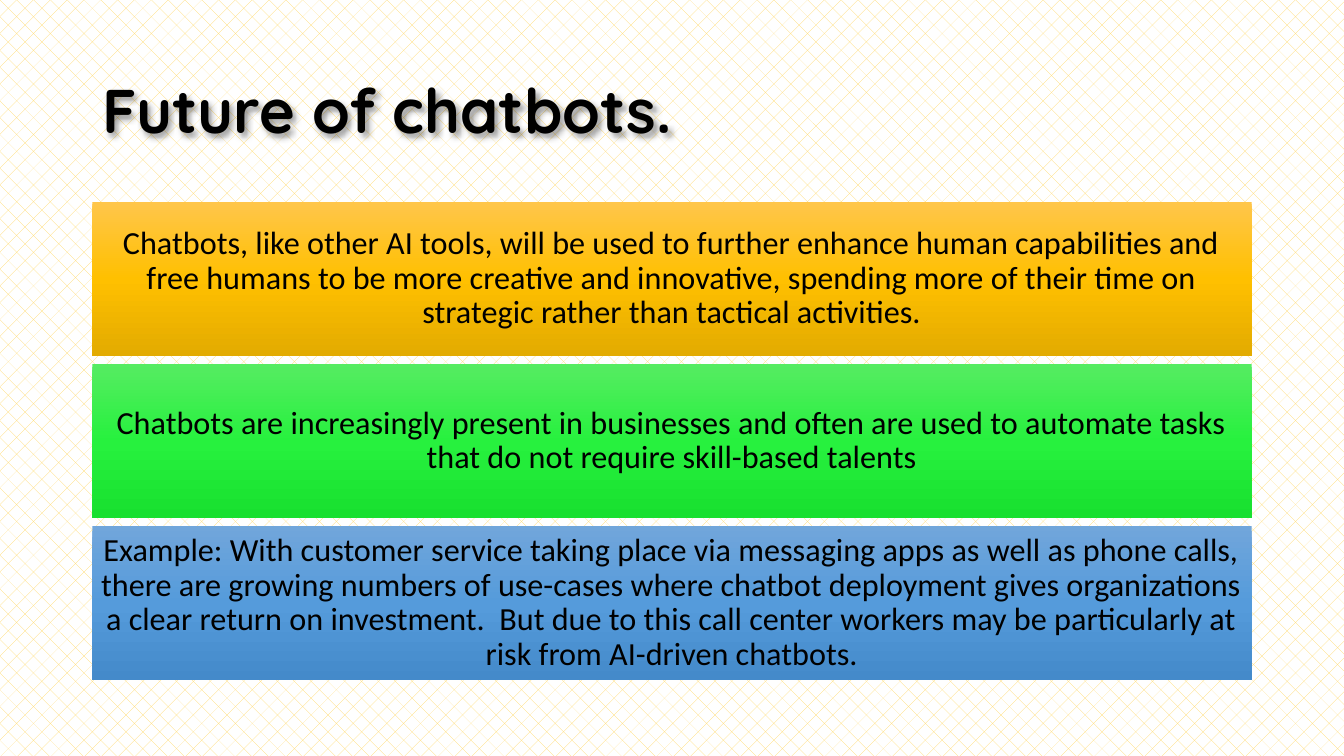
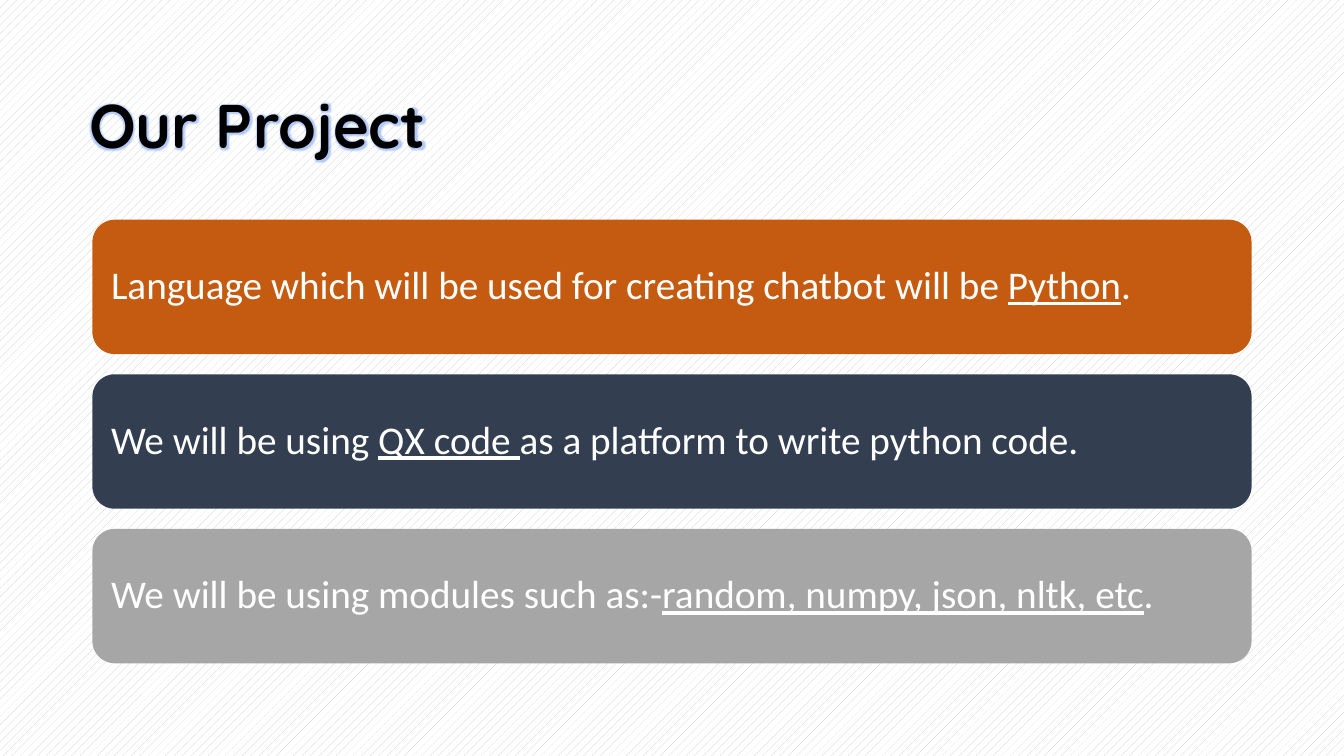
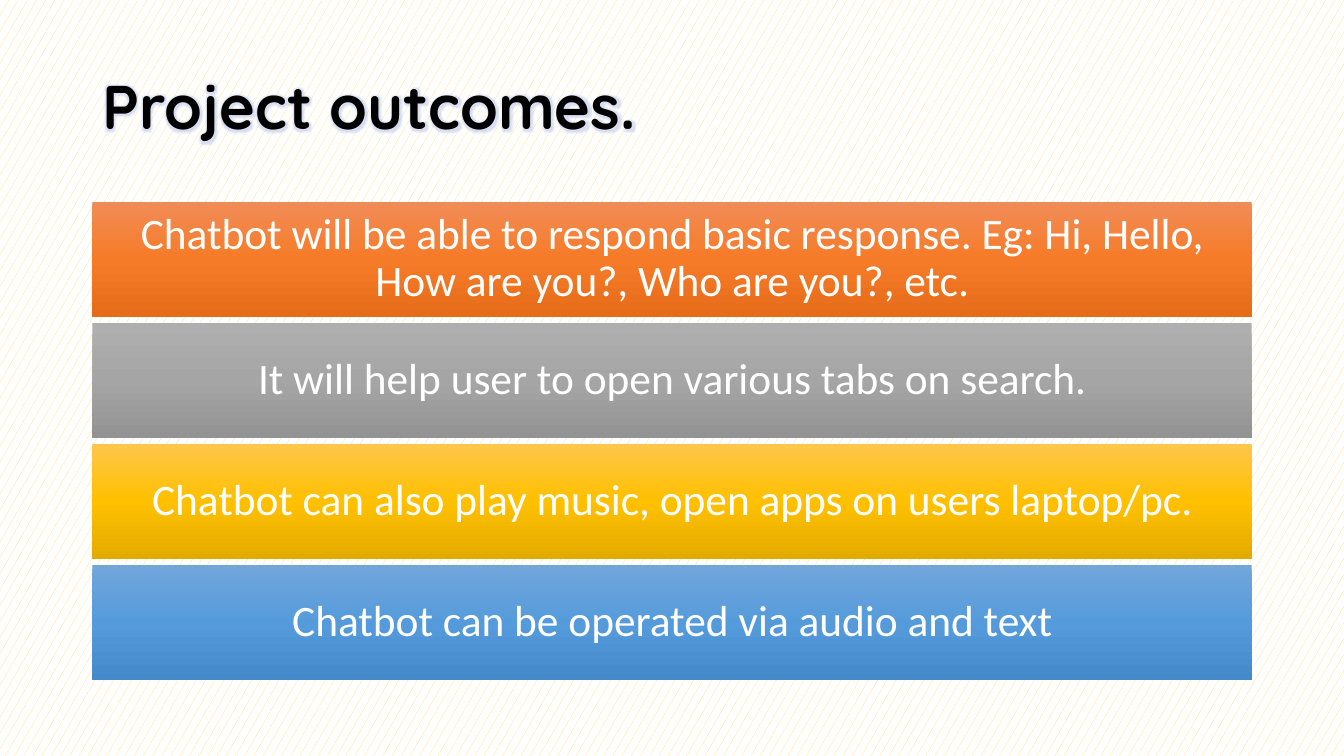
import copy

import pptx
import pptx.dml.color
import pptx.enum.dml
import pptx.enum.shapes
import pptx.enum.text
import pptx.oxml
import pptx.oxml.ns
import pptx.util

COLORS = {
    "black": "000000",
    "white": "FFFFFF",
    "sand": "FFD966",
    "silver": "C9C9C9",
    "rust": "C55A11",
    "navy": "333F50",
    "gray": "A6A6A6",
    "glow": "7FA7F5",
    "pale glow": "BFC9EC",
}
GRADIENTS = {
    "gold": ("FFC64B", "FFC000", "E3AB00"),
    "green": ("56EC62", "27F13E", "18E02F"),
    "blue": ("71A6DB", "559BDB", "448ACA"),
    "orange": ("F18C57", "F67B28", "E56C19"),
    "steel": ("AFAFAF", "A5A5A5", "939393"),
}
TITLE_FONT, BODY_FONT = "Quicksand", "Calibri"
COLUMNS, ROWS = 160, 90
LEFT, WIDTH, TITLE_HEIGHT = 11, 138, 17.4

PATTERN = pptx.enum.dml.MSO_PATTERN
SHAPE = pptx.enum.shapes.MSO_SHAPE
ALIGN = pptx.enum.text.PP_ALIGN
MIDDLE = pptx.enum.text.MSO_ANCHOR.MIDDLE

prs = pptx.Presentation()
prs.slide_width = pptx.util.Inches(13.333)
prs.slide_height = pptx.util.Inches(7.5)


def rgb(value):
    return pptx.dml.color.RGBColor.from_string(COLORS.get(value, value))


def place(box):
    x, y, w, h = box
    column, row = prs.slide_width / COLUMNS, prs.slide_height / ROWS
    return [round(n) for n in (x * column, y * row, w * column, h * row)]


def style(p, font, size, color, align, bold=False):
    p.font.name, p.font.size, p.font.bold = font, pptx.util.Pt(size), bold
    p.font.color.rgb = rgb(color)
    p.alignment = align
    p.line_spacing = 0.9


def effect_list(kind, attributes, color, alpha):
    return pptx.oxml.parse_xml(
        f'<a:effectLst {pptx.oxml.ns.nsdecls("a")}><a:{kind} {attributes}>'
        f'<a:srgbClr val="{COLORS[color]}"><a:alpha val="{alpha}"/></a:srgbClr>'
        f'</a:{kind}></a:effectLst>')


def add_title(s, text, box, glow=None):
    sp = s.shapes.title
    sp.left, sp.top, sp.width, sp.height = place(box)
    tf = sp.text_frame
    tf.vertical_anchor = MIDDLE
    p = tf.paragraphs[0]
    style(p, TITLE_FONT, 44, "black", ALIGN.LEFT, bold=True)
    r = p.add_run()
    r.text = text
    if glow:
        r.font.fill.solid()
        r.font.fill.fore_color.rgb = rgb("black")
        r.font.fill.fore_color.brightness = 0
        r._r.get_or_add_rPr().append(effect_list("glow", 'rad="63500"', glow, 60000))
    else:
        shadow = 'blurRad="50800" dist="38100" dir="2700000" algn="tl" rotWithShape="0"'
        sp._element.spPr.append(effect_list("outerShdw", shadow, "black", 40000))


def fill_band(sp, color):
    if color not in GRADIENTS:
        sp.fill.solid()
        sp.fill.fore_color.rgb = rgb(color)
        return
    sp.fill.gradient()
    sp.fill.gradient_angle = 270
    first = sp._element.spPr.find(".//" + pptx.oxml.ns.qn("a:gs"))
    first.addnext(copy.deepcopy(first))
    for stop, position, shade in zip(sp.fill.gradient_stops, (0, 0.5, 1), GRADIENTS[color]):
        stop.position = position
        stop.color.rgb = rgb(shade)


def add_bands(s, box, bands, gap, shape, size, color, align, inset):
    x, y, w, h = box
    height = h / (len(bands) + gap * (len(bands) - 1))
    for i, (fill, text) in enumerate(bands):
        sp = s.shapes.add_shape(shape, *place((x, y + i * height * (1 + gap), w, height)))
        sp.shadow.inherit = False
        sp.line.fill.background()
        fill_band(sp, fill)
        tf = sp.text_frame
        tf.word_wrap = True
        tf.vertical_anchor = MIDDLE
        tf.margin_left = tf.margin_right = pptx.util.Inches(inset)
        tf.margin_top = tf.margin_bottom = pptx.util.Inches(inset)
        p = tf.paragraphs[0]
        style(p, BODY_FONT, size, color, align)
        for n, part in enumerate(text.split("_")):
            r = p.add_run()
            r.text = part
            if n % 2:
                r.font.underline = True


def add_slide(pattern, ink):
    s = prs.slides.add_slide(prs.slide_layouts[5])
    fill = s.background.fill
    fill.patterned()
    fill.pattern = pattern
    fill.fore_color.rgb = rgb(ink)
    fill.back_color.rgb = rgb("white")
    return s


def future_slide():
    s = add_slide(PATTERN.DOTTED_DIAMOND, "sand")
    add_title(s, "Future of chatbots.", (LEFT, 4.8, WIDTH, TITLE_HEIGHT))
    bands = [
        ("gold", "Chatbots, like other AI tools, will be used to further enhance human "
                 "capabilities and free humans to be more creative and innovative, spending "
                 "more of their time on strategic rather than tactical activities."),
        ("green", "Chatbots are increasingly present in businesses and often are used to "
                  "automate tasks that do not require skill-based talents"),
        ("blue", "Example: With customer service taking place via messaging apps as well as "
                 "phone calls, there are growing numbers of use-cases where chatbot deployment "
                 "gives organizations a clear return on investment.  But due to this call center "
                 "workers may be particularly at risk from AI-driven chatbots."),
    ]
    add_bands(s, (LEFT, 24, WIDTH, 57), bands, 0.05, SHAPE.RECTANGLE,
              23, "black", ALIGN.CENTER, 0.06)


def project_slide():
    s = add_slide(PATTERN.DASHED_UPWARD_DIAGONAL, "silver")
    add_title(s, "Our Project", (9.4, 6.6, WIDTH, TITLE_HEIGHT), "glow")
    bands = [
        ("rust", "Language which will be used for creating chatbot will be _Python_."),
        ("navy", "We will be using _QX code _as a platform to write python code."),
        ("gray", "We will be using modules such as:-_random, numpy, json, nltk, etc_."),
    ]
    add_bands(s, (LEFT, 26.16, WIDTH, 52.8), bands, 0.15, SHAPE.ROUNDED_RECTANGLE,
              28, "white", ALIGN.LEFT, 0.12)


def outcomes_slide():
    s = add_slide(PATTERN.SMALL_CONFETTI, "sand")
    add_title(s, "Project outcomes.", (LEFT, 4.4, WIDTH, TITLE_HEIGHT), "pale glow")
    bands = [
        ("orange", "Chatbot will be able to respond basic response. Eg: Hi, Hello, "
                   "How are you?, Who are you?, etc."),
        ("steel", "It will help user to open various tabs on search."),
        ("gold", "Chatbot can also play music, open apps on users laptop/pc."),
        ("blue", "Chatbot can be operated via audio and text"),
    ]
    add_bands(s, (LEFT, 24, WIDTH, 57), bands, 0.05, SHAPE.RECTANGLE,
              31, "white", ALIGN.CENTER, 0.09)


future_slide()
project_slide()
outcomes_slide()
prs.save("out.pptx")
